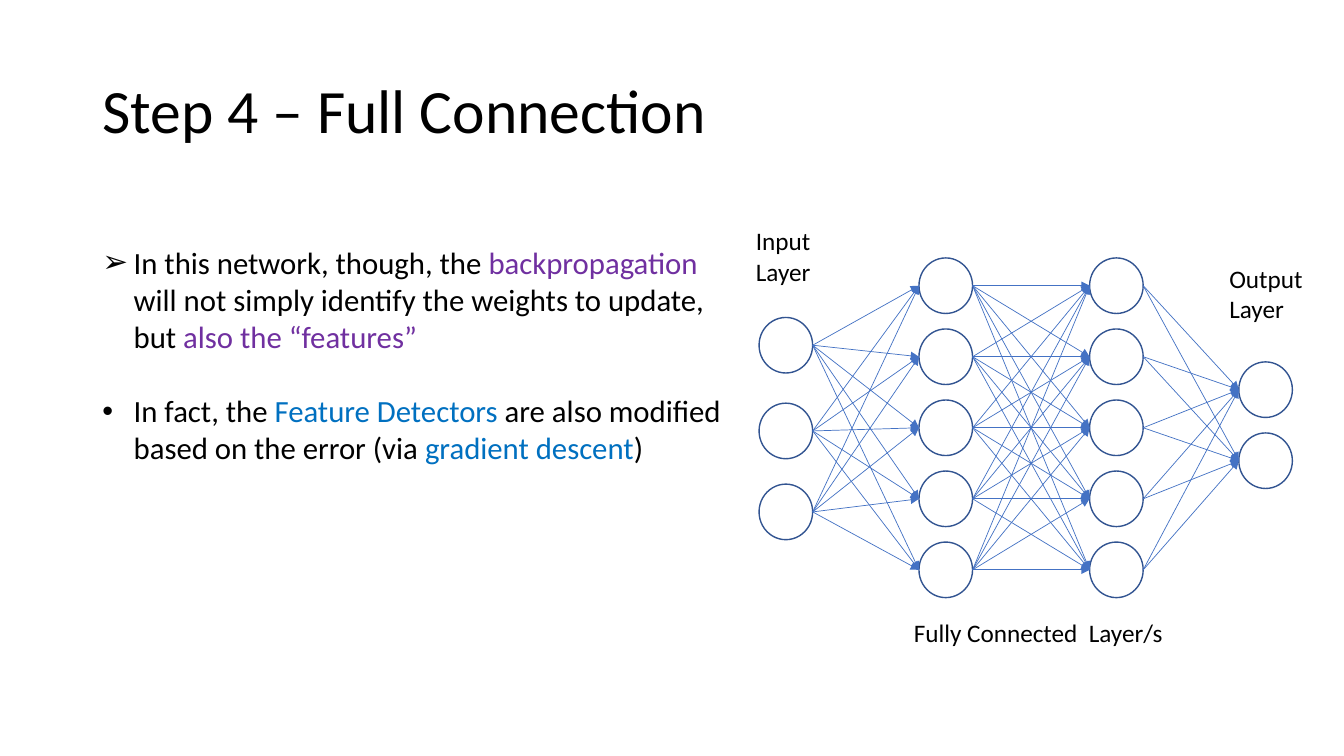
from itertools import product

from lxml import etree
from pptx import Presentation
from pptx.dml.color import RGBColor
from pptx.enum.shapes import MSO_CONNECTOR, MSO_SHAPE
from pptx.enum.text import MSO_ANCHOR, MSO_AUTO_SIZE
from pptx.oxml.ns import qn
from pptx.util import Cm, Pt

STRAIGHT = MSO_CONNECTOR.STRAIGHT
OVAL = MSO_SHAPE.OVAL
MIDDLE = MSO_ANCHOR.MIDDLE
FIT_SHAPE = MSO_AUTO_SIZE.SHAPE_TO_FIT_TEXT

BLACK = RGBColor(0x00, 0x00, 0x00)
PURPLE = RGBColor(0x70, 0x30, 0xA0)
BLUE = RGBColor(0x00, 0x70, 0xC0)
NODE_LINE = RGBColor(0x32, 0x54, 0x91)
LINK_LINE = RGBColor(0x44, 0x72, 0xC4)

FONT = "Calibri"
NODE_W, NODE_H = 1.35, 1.4
NODE_PITCH = 1.79

# Each layer: left edge and the tops of its nodes, in cm
LAYERS = [
    (19.13, [8.0, 10.16, 12.2]),
    (23.16, [6.5 + i * NODE_PITCH for i in range(5)]),
    (27.46, [6.5 + i * NODE_PITCH for i in range(5)]),
    (31.22, [9.12 + i * NODE_PITCH for i in range(2)]),
]

# Each point: bullet and its coloured runs
POINTS = [
    ("➢", [("In this network, though, the ", BLACK),
           ("backpropagation", PURPLE),
           (" will not simply identify the weights to update, but ", BLACK),
           ("also the “features”", PURPLE)]),
    ("•", [("In fact, the ", BLACK),
           ("Feature Detectors ", BLUE),
           ("are also modified based on the error (via ", BLACK),
           ("gradient descent", BLUE),
           (")", BLACK)]),
]


def add_run(p, text, size, color):
    r = p.add_run()
    r.text = text
    r.font.name = FONT
    r.font.size = Pt(size)
    r.font.color.rgb = color


def add_box(s, left, top, width, height):
    tf = s.shapes.add_textbox(Cm(left), Cm(top), Cm(width), Cm(height)).text_frame
    tf.word_wrap = True
    return tf


def add_title(s, text):
    tf = add_box(s, 2.33, 1.01, 29.21, 3.68)
    tf.vertical_anchor = MIDDLE
    p = tf.paragraphs[0]
    p.line_spacing = 0.9
    add_run(p, text, 44, BLACK)


def add_label(s, text, left, top, width, height):
    tf = add_box(s, left, top, width, height)
    tf.auto_size = FIT_SHAPE
    add_run(tf.paragraphs[0], text, 18, BLACK)


def set_bullet(p, char):
    pPr = p._p.get_or_add_pPr()
    pPr.set("marL", str(Cm(0.79)))
    pPr.set("indent", str(-Cm(0.79)))
    etree.SubElement(pPr, qn("a:buFont")).set("typeface", "Arial")
    etree.SubElement(pPr, qn("a:buChar")).set("char", char)


def add_points(s, points):
    tf = add_box(s, 2.33, 6.02, 16.15, 5.89)
    tf.auto_size = FIT_SHAPE
    for i, (bullet, runs) in enumerate(points):
        p = tf.add_paragraph() if i else tf.paragraphs[0]
        set_bullet(p, bullet)
        if i:
            p.space_before = Pt(26.8)
        for text, color in runs:
            add_run(p, text, 22, color)


def add_node(s, left, top):
    sp = s.shapes.add_shape(OVAL, Cm(left), Cm(top), Cm(NODE_W), Cm(NODE_H))
    sp.shadow.inherit = False
    sp.fill.background()
    sp.line.color.rgb = NODE_LINE
    sp.line.width = Pt(1)
    return sp


def add_link(s, source, target):
    """Arrow from the right side of one node to the left side of another."""
    link = s.shapes.add_connector(
        STRAIGHT,
        source.left + source.width, source.top + source.height // 2,
        target.left, target.top + target.height // 2)
    link.line.color.rgb = LINK_LINE
    link.line.width = Pt(0.5)
    etree.SubElement(link.line._get_or_add_ln(), qn("a:tailEnd")).set("type", "triangle")
    etree.SubElement(link._element.spPr, qn("a:effectLst"))


def add_network(s):
    layers = [[add_node(s, left, top) for top in tops] for left, tops in LAYERS]
    for sources, targets in zip(layers, layers[1:]):
        for source, target in product(sources, targets):
            add_link(s, source, target)


def main():
    prs = Presentation()
    prs.slide_width, prs.slide_height = Cm(33.87), Cm(19.05)
    s = prs.slides.add_slide(prs.slide_layouts[6])

    # Title and text
    add_title(s, "Step 4 – Full Connection")
    add_points(s, POINTS)

    # Layer labels
    add_label(s, "Input Layer", 18.8, 5.56, 3.0, 1.8)
    add_label(s, "Fully Connected  Layer/s", 22.78, 15.44, 7.24, 1.02)
    add_label(s, "Output Layer", 30.73, 6.5, 3.14, 1.8)

    # Neural network
    add_network(s)

    prs.save("out.pptx")


if __name__ == "__main__":
    main()
